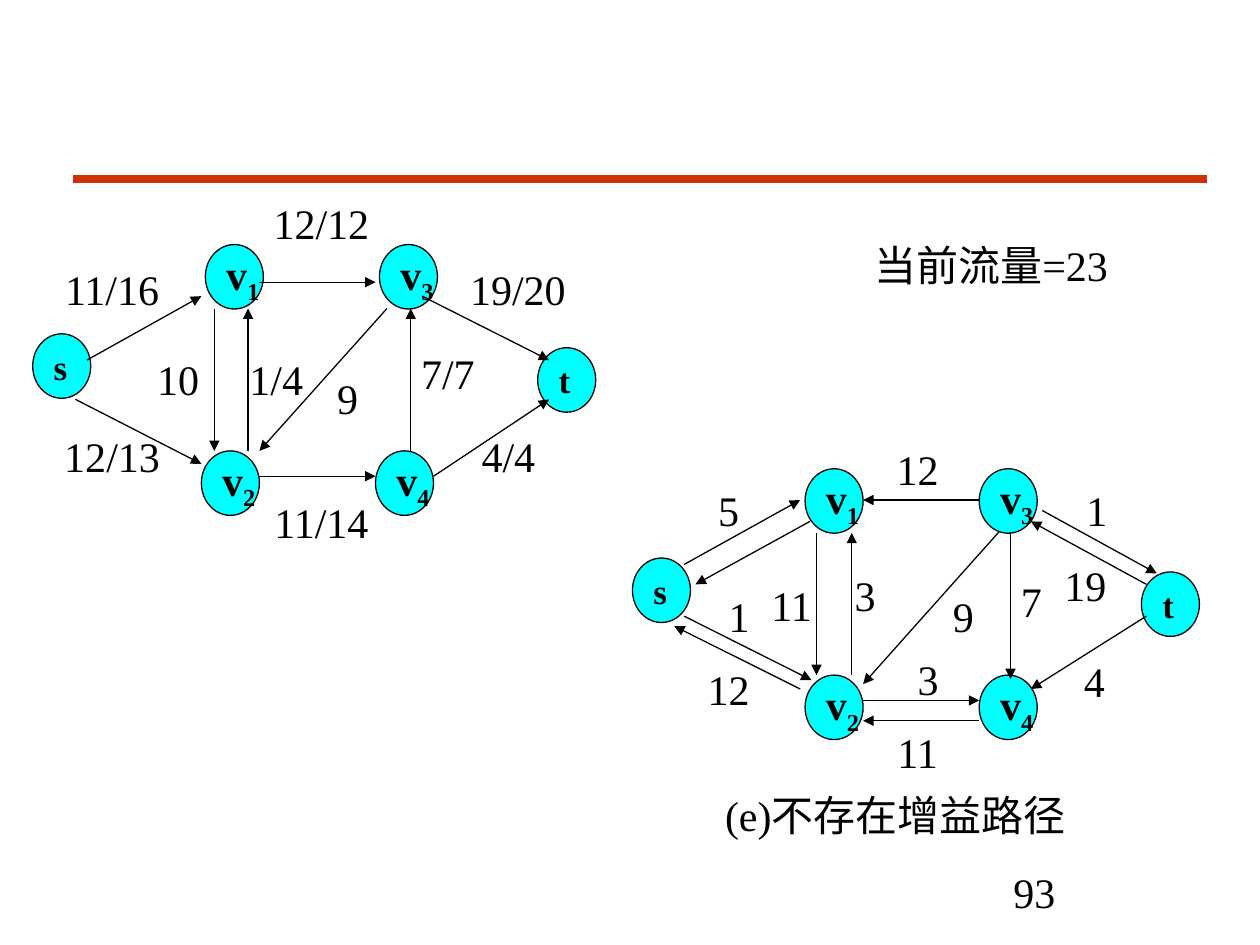
from lxml import etree
from pptx import Presentation
from pptx.dml.color import RGBColor
from pptx.enum.shapes import MSO_CONNECTOR, MSO_SHAPE
from pptx.enum.text import MSO_ANCHOR, MSO_AUTO_SIZE, PP_ALIGN
from pptx.oxml.ns import qn
from pptx.util import Cm, Pt

LINE = MSO_CONNECTOR.STRAIGHT
OVAL = MSO_SHAPE.OVAL
MIDDLE = MSO_ANCHOR.MIDDLE
GROW = MSO_AUTO_SIZE.SHAPE_TO_FIT_TEXT
CENTER = PP_ALIGN.CENTER
BLACK = RGBColor(0x00, 0x00, 0x00)
CYAN = RGBColor(0x00, 0xFF, 0xFF)
RED = RGBColor(0xCC, 0x33, 0x00)
FACE = "Times New Roman"

NODES = {
    "s": (0, 2.87), "v2": (3.48, 5.23), "v4": (6.99, 5.23),
    "t": (10.26, 3.15), "v3": (6.99, 1.07), "v1": (3.48, 1.07),
}
WIDTHS = {1: 0.94, 2: 1.35, 3: 1.6, 5: 2.44}

FLOW_EDGES = [
    (1.09, 3.4, 3.4, 2.11), (4.57, 1.83, 6.91, 1.83),
    (7.85, 2.11, 10.41, 3.4), (0.86, 4.19, 3.4, 5.49),
    (4.57, 5.74, 6.91, 5.74), (8.08, 5.74, 10.41, 4.19),
    (3.66, 2.36, 3.66, 5.23), (4.34, 5.23, 4.34, 2.36),
    (7.62, 5.23, 7.62, 2.36), (7.14, 2.36, 4.57, 5.23),
]
FLOW_LABELS = [
    ("9", 6.35, 3.53), ("11/16", 1.6, 1.32), ("12/13", 1.6, 4.7),
    ("12/12", 5.82, 0), ("10", 2.93, 3.15), ("1/4", 4.91, 3.15),
    ("19/20", 9.78, 1.32), ("4/4", 9.59, 4.7), ("7/7", 8.37, 3.02),
    ("11/14", 5.82, 6.02),
]
REST_EDGES = [
    (1.04, 3, 3.38, 1.7), (8.26, 1.91, 10.57, 3.18),
    (1.04, 4.04, 3.61, 5.33), (4.65, 5.74, 6.99, 5.74),
    (3.71, 2.36, 3.71, 5.23), (4.42, 5.23, 4.42, 2.36),
    (7.39, 2.34, 4.65, 5.41), (6.99, 1.7, 4.65, 1.7),
    (10.36, 4.04, 8.03, 5.51), (6.99, 6.15, 4.65, 6.15),
    (3.38, 5.51, 0.84, 4.24), (10.36, 3.4, 8.03, 2.13),
    (3.58, 2.13, 1.27, 3.4), (7.62, 2.34, 7.62, 5.31),
]
REST_LABELS = [
    ("5", 1.94, 1.27), ("12", 1.94, 4.88), ("12", 5.75, 0.43),
    ("11", 3.21, 3.18), ("3", 4.69, 2.97), ("1", 9.36, 1.27),
    ("4", 9.31, 4.7), ("11", 5.75, 6.15), ("9", 6.67, 3.4),
    ("3", 5.96, 4.67), ("1", 2.15, 3.4), ("19", 9.13, 2.77),
    ("7", 8.04, 3.1),
]


def style(para, size=24, bold=False):
    font = para.font
    font.name = FACE
    font.size = Pt(size)
    font.bold = bold
    font.color.rgb = BLACK


def add_text(shapes, text, left, top, width, height=1.27, wrap=True):
    box = shapes.add_textbox(Cm(left), Cm(top), Cm(width), Cm(height))
    frame = box.text_frame
    frame.word_wrap = wrap
    frame.auto_size = GROW
    para = frame.paragraphs[0]
    para.text = text
    para.alignment = CENTER
    style(para)


def add_line(shapes, ends, color, width):
    line = shapes.add_connector(LINE, *[Cm(end) for end in ends])
    line.line.color.rgb = color
    line.line.width = Pt(width)
    props = line._element.spPr
    etree.SubElement(props, qn("a:effectLst"))
    return props.find(qn("a:ln"))


def add_node(shapes, name, left, top):
    node = shapes.add_shape(OVAL, Cm(left), Cm(top), Cm(1.17), Cm(1.3))
    node.shadow.inherit = False
    node.fill.solid()
    node.fill.fore_color.rgb = CYAN
    node.line.color.rgb = BLACK
    node.line.width = Pt(0.75)
    frame = node.text_frame
    frame.word_wrap = False
    frame.vertical_anchor = MIDDLE
    para = frame.paragraphs[0]
    para.alignment = PP_ALIGN.LEFT
    para.add_run().text = name[0]
    if name[1:]:
        sub = para.add_run()
        sub.text = name[1:]
        sub.font._element.set("baseline", "-25000")
    style(para, 24 if name[1:] else 20, True)


def add_graph(slide, left, top, edges, labels, shift=0):
    shapes = slide.shapes.add_group_shape().shapes
    for name, (x, y) in NODES.items():
        move = shift if name in ("v2", "v4", "t") else 0
        add_node(shapes, name, left + x + move, top + y)
    for x1, y1, x2, y2 in edges:
        ends = (left + x1, top + y1, left + x2, top + y2)
        stroke = add_line(shapes, ends, BLACK, 0.75)
        etree.SubElement(stroke, qn("a:tailEnd"), type="triangle")
    for text, x, y in labels:
        width = WIDTHS[len(text)]
        add_text(shapes, text, left + x - width / 2, top + y, width, wrap=False)


def main():
    deck = Presentation()
    deck.slide_width = Cm(25.4)
    deck.slide_height = Cm(19.05)
    slide = deck.slides.add_slide(deck.slide_layouts[6])
    add_line(slide.shapes, (1.48, 3.61, 24.34, 3.61), RED, 4.5)
    add_text(slide.shapes, "93", 18.21, 17.35, 5.28)
    add_graph(slide, 12.75, 8.38, REST_EDGES, REST_LABELS)
    add_text(slide.shapes, "(e)不存在增益路径", 14.33, 15.8, 7.44)
    add_graph(slide, 0.66, 3.86, FLOW_EDGES, FLOW_LABELS, -0.08)
    add_text(slide.shapes, "当前流量=23", 17.07, 4.7, 5.82)
    deck.save("out.pptx")


if __name__ == "__main__":
    main()
